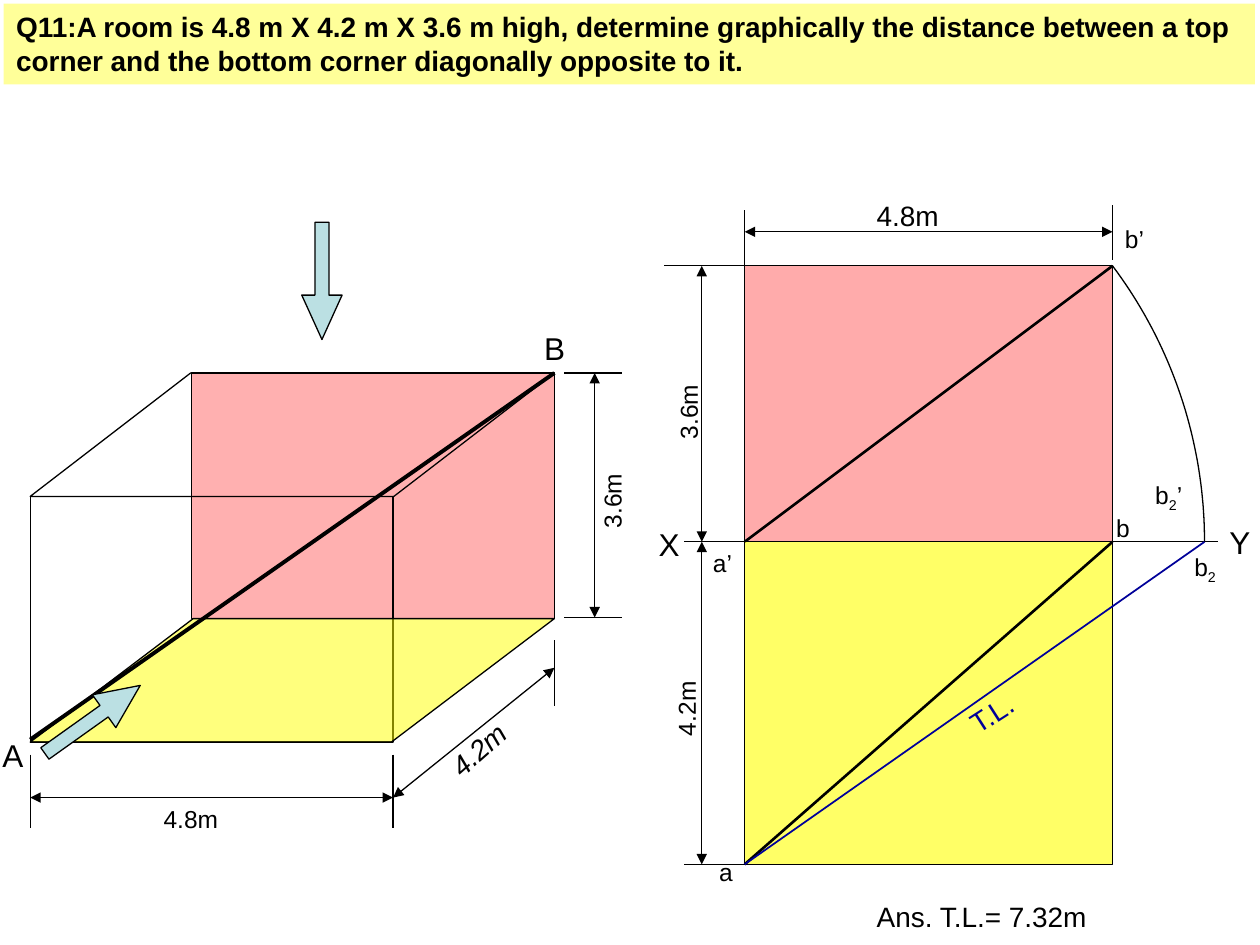
import math

from lxml import etree
from pptx import Presentation
from pptx.dml.color import RGBColor
from pptx.enum.shapes import MSO_CONNECTOR, MSO_SHAPE
from pptx.enum.text import MSO_ANCHOR, MSO_AUTO_SIZE, PP_ALIGN
from pptx.oxml.ns import qn
from pptx.util import Inches, Pt

RECTANGLE = MSO_SHAPE.RECTANGLE
PARALLELOGRAM = MSO_SHAPE.PARALLELOGRAM
RIGHT_ARROW = MSO_SHAPE.RIGHT_ARROW
STRAIGHT = MSO_CONNECTOR.STRAIGHT

BLACK = RGBColor(0x00, 0x00, 0x00)
RED = RGBColor(0xFF, 0x00, 0x00)
YELLOW = RGBColor(0xFF, 0xFF, 0x00)
PALE_YELLOW = RGBColor(0xFF, 0xFF, 0x99)
PALE_BLUE = RGBColor(0xBB, 0xE0, 0xE3)
NAVY = RGBColor(0x00, 0x00, 0x99)

FONT = "Arial"
THIN = 0.75
FRAME_FORMAT = {
    "word_wrap": True,
    "auto_size": MSO_AUTO_SIZE.SHAPE_TO_FIT_TEXT,
    "vertical_anchor": MSO_ANCHOR.TOP,
}


class Drawing:
    def __init__(self, slide):
        self.shapes = slide.shapes

    def finish(self, shape, fill=None, alpha=100, outline=BLACK):
        shape.shadow.inherit = False
        if fill is None:
            shape.fill.background()
        else:
            shape.fill.solid()
            shape.fill.fore_color.rgb = fill
            if alpha < 100:
                color = shape._element.spPr.find(qn("a:solidFill"))[0]
                etree.SubElement(color, qn("a:alpha"), val=str(alpha * 1000))
        if outline is None:
            shape.line.fill.background()
        else:
            shape.line.color.rgb = outline
            shape.line.width = Pt(THIN)
        return shape

    def face(self, kind, box, adjustments=(), rotation=0, **style):
        shape = self.shapes.add_shape(kind, *map(Inches, box))
        for index, value in enumerate(adjustments):
            shape.adjustments[index] = value
        shape.rotation = rotation
        return self.finish(shape, **style)

    def line(self, start, end, width=THIN, color=BLACK):
        connector = self.shapes.add_connector(STRAIGHT, *map(Inches, (*start, *end)))
        connector.line.color.rgb = color
        connector.line.width = Pt(width)
        etree.SubElement(connector._element.spPr, qn("a:effectLst"))
        return connector

    def dimension(self, start, end):
        """Line with an arrowhead at both ends."""
        outline = self.line(start, end)._element.spPr.find(qn("a:ln"))
        for end_tag in ("a:headEnd", "a:tailEnd"):
            etree.SubElement(outline, qn(end_tag), type="triangle")

    def arc(self, center, radius, sweep):
        """Arc from the sweep angle down to the horizontal, anchored at its centre."""
        steps = 40
        angles = [sweep * (1 - i / steps) for i in range(steps + 1)]
        points = [
            (Inches(center[0] + radius * math.cos(angle)),
             Inches(center[1] - radius * math.sin(angle)))
            for angle in angles
        ]
        builder = self.shapes.build_freeform(*map(Inches, center))
        builder.move_to(*points[0])
        builder.add_line_segments(points[1:], close=False)
        self.finish(builder.convert_to_shape())

    def set_text(self, shape, text, size, color=BLACK, **font_format):
        """Fill a shape with text, where _ marks the next character as a subscript."""
        frame = shape.text_frame
        for name, value in FRAME_FORMAT.items():
            setattr(frame, name, value)
        paragraph = frame.paragraphs[0]
        paragraph.alignment = PP_ALIGN.LEFT
        base, _, rest = text.partition("_")
        for part, subscript in ((base, False), (rest[:1], True), (rest[1:], False)):
            if not part:
                continue
            run = paragraph.add_run()
            run.text = part
            for name, value in {"name": FONT, "size": Pt(size), **font_format}.items():
                setattr(run.font, name, value)
            run.font.color.rgb = color
            if subscript:
                run._r.get_or_add_rPr().set("baseline", "-25000")

    def label(self, text, left, top, width, size=14, rotation=0, **font_format):
        height = {14: 0.33, 16: 0.37, 18: 0.4}[size]
        box = self.shapes.add_textbox(*map(Inches, (left, top, width, height)))
        box.rotation = rotation
        self.set_text(box, text, size, **font_format)


def draw_room(drawing):
    left, right, back_left, back_right = 0.24, 3.12, 1.52, 4.4
    back_top, front_top, back_floor = 2.96, 3.94, 4.91
    width, height, depth = right - left, back_floor - back_top, front_top - back_top

    drawing.face(RECTANGLE, (back_left, back_top, width, height), fill=RED, alpha=31)
    drawing.face(RECTANGLE, (left, front_top, width, height))
    drawing.face(PARALLELOGRAM, (left, back_top, back_right - left, depth), [1.3])
    drawing.face(PARALLELOGRAM, (left, back_floor, back_right - left, depth), [1.32],
                 fill=YELLOW, alpha=51)
    drawing.line((left, 5.87), (back_right, back_top), 2.25)

    for x in (left, right):
        drawing.line((x, 5.99), (x, 6.57))
    drawing.dimension((left, 6.33), (right, 6.33))
    drawing.label("4.8m", 1.2, 6.33, 0.89)

    drawing.line((back_right, 5.08), (back_right, 5.6))
    drawing.dimension((right, 6.33), (back_right, 5.3))
    drawing.label("4.2m", 3.44, 5.73, 0.79, 16, 318.6, italic=True)

    for y in (back_top, 4.9):
        drawing.line((4.48, y), (4.94, y))
    drawing.dimension((4.72, back_top), (4.72, 4.9))
    drawing.label("3.6m", 4.5, 3.77, 0.71, rotation=270)

    drawing.label("A", -0.08, 5.79, 0.64, 18)
    drawing.label("B", 4.22, 2.56, 0.64, 18)


def draw_projections(drawing):
    left, right, top, ground, bottom = 5.91, 8.83, 2.11, 4.3, 6.86
    radius = math.hypot(right - left, ground - top)
    width, dimension_x = right - left, 5.57

    drawing.line((5.43, ground), (9.67, ground))
    drawing.label("X", 5.13, 4.12, 0.6, 18)
    drawing.label("Y", 9.66, 4.1, 0.6, 18)
    drawing.face(RECTANGLE, (left, top, width, ground - top), fill=RED, alpha=33)
    drawing.line((left, ground), (right, top), 1.5)
    drawing.face(RECTANGLE, (left, ground, width, bottom - ground), fill=YELLOW, alpha=60)
    drawing.line((left, bottom), (right, ground), 1.5)

    drawing.line((left, top), (left, 1.67))
    drawing.line((right, 2.06), (right, 1.63))
    drawing.dimension((left, 1.84), (right, 1.84))
    drawing.label("4.8m", 6.86, 1.53, 0.94, 16)

    drawing.line((left, top), (5.27, top))
    drawing.dimension((dimension_x, ground), (dimension_x, top))
    drawing.label("3.6m", 5.07, 3.03, 0.78, rotation=270)
    drawing.line((left, bottom), (5.43, bottom))
    drawing.dimension((dimension_x, bottom), (dimension_x, ground))
    drawing.label("4.2m", 5.01, 5.34, 0.87, rotation=270)

    drawing.arc((left, ground), radius, math.atan2(ground - top, width))
    drawing.line((left, bottom), (left + radius, ground), 1, NAVY)
    for text, x, y, label_width in (
        ("a’", 5.56, 4.3, 0.49),
        ("b’", 8.83, 1.73, 0.49),
        ("a", 5.61, 6.75, 0.62),
        ("b", 8.76, 4.02, 0.62),
        ("b_2’", 9.07, 3.76, 0.49),
        ("b_2", 9.38, 4.33, 0.49),
    ):
        drawing.label(text, x, y, label_width)
    drawing.label("T.L.", 7.57, 5.4, 0.84, 16, 327.3, color=NAVY)
    drawing.label("Ans. T.L.= 7.32m", 6.86, 7.09, 2.22, 16)


def main():
    deck = Presentation()
    deck.slide_width, deck.slide_height = Inches(10), Inches(7.5)
    drawing = Drawing(deck.slides.add_slide(deck.slide_layouts[6]))

    draw_room(drawing)
    draw_projections(drawing)
    for x, y, rotation in ((0.27, 5.55, 324.5), (2.09, 2.07, 90)):
        drawing.face(RIGHT_ARROW, (x, y, 0.93, 0.32), [0.35, 1.1], rotation, fill=PALE_BLUE)

    question = drawing.face(RECTANGLE, (0.03, 0.03, 9.93, 0.64),
                            fill=PALE_YELLOW, outline=None)
    drawing.set_text(question, "Q11:A room is 4.8 m X 4.2 m X 3.6 m high, determine graphically "
                     "the distance between a top corner and the bottom corner diagonally "
                     "opposite to it.", 16, bold=True)
    deck.save("out.pptx")


if __name__ == "__main__":
    main()
